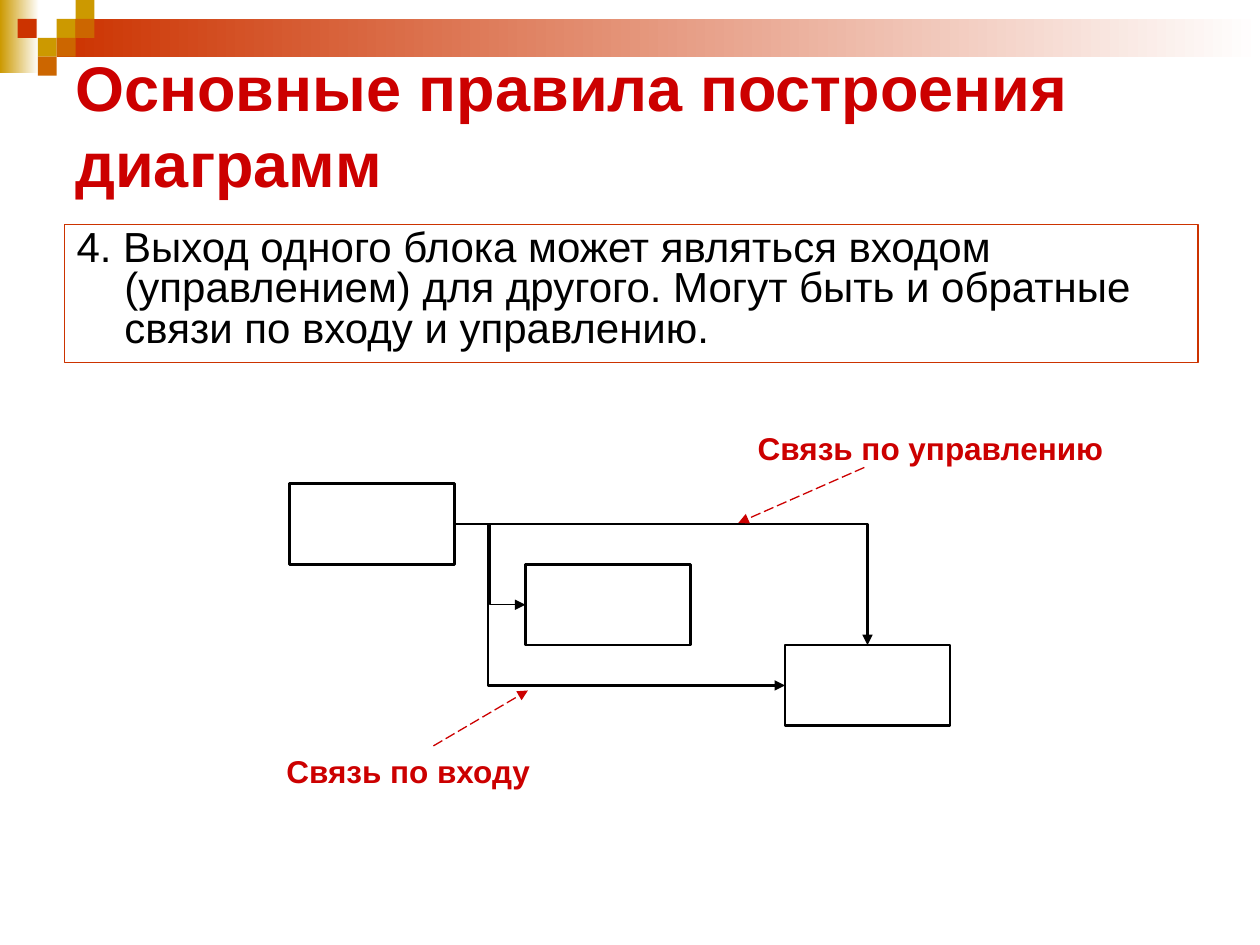
from typing import NamedTuple, Optional

import pptx
import pptx.dml.color
import pptx.enum.dml
import pptx.enum.shapes
import pptx.enum.text
import pptx.oxml.ns
import pptx.util
from lxml import etree
from pptx.dml.color import RGBColor
from pptx.util import Inches

WHITE = RGBColor(0xFF, 0xFF, 0xFF)
BLACK = RGBColor(0, 0, 0)
RED = RGBColor(0xCC, 0, 0)
RUST = RGBColor(0xCC, 0x33, 0)
GOLD = RGBColor(0xCC, 0x99, 0)
ORANGE = RGBColor(0xCC, 0x66, 0)
FONT = "Arial"
TILE = 0.15
BLOCK_WIDTH, BLOCK_HEIGHT = 1.31, 0.64
TOP, LEFT, RIGHT = 0, 1, 3
MIDDLE = pptx.enum.text.MSO_ANCHOR.MIDDLE
CENTER = pptx.enum.text.PP_ALIGN.CENTER
CONNECTOR = pptx.enum.shapes.MSO_CONNECTOR


class Box(NamedTuple):
    left: float
    top: float
    width: float
    height: float


class Tile(NamedTuple):
    left: float
    top: float
    color: RGBColor


class Link(NamedTuple):
    target: int
    side: int
    width: float
    bend: Optional[float]


class Callout(NamedTuple):
    text: str
    box: Box
    start: tuple[float, float]
    end: tuple[float, float]


TILES = [
    Tile(0.45, 0.15, GOLD),
    Tile(0.6, 0, GOLD),
    Tile(0.6, 0.15, ORANGE),
    Tile(0.3, 0.3, GOLD),
    Tile(0.14, 0.15, RUST),
    Tile(0.45, 0.3, ORANGE),
    Tile(0.3, 0.45, ORANGE),
]
BLOCK_LEFTS = [2.3, 4.17, 6.23]
FIRST_BLOCK_TOP = 3.84
LINKS = [
    Link(1, LEFT, 0.75, 0.5),
    Link(2, LEFT, 1.5, 0.1),
    Link(2, TOP, 1.5, None),
]
CALLOUTS = [
    Callout("Связь по входу", Box(2.17, 5.92, 2.14, 0.4), (3.44, 5.92), (4.19, 5.48)),
    Callout("Связь по управлению", Box(5.91, 3.36, 2.95, 0.4), (6.86, 3.71), (5.86, 4.15)),
]


def add_rectangle(slide, box: Box, fill: Optional[RGBColor] = None,
                  fade_to: Optional[RGBColor] = None,
                  line: Optional[RGBColor] = None, line_width: float = 0.75):
    rectangle = slide.shapes.add_shape(
        pptx.enum.shapes.MSO_SHAPE.RECTANGLE, *map(Inches, box))
    rectangle.shadow.inherit = False
    if fill is None:
        rectangle.fill.background()
    elif fade_to is None:
        rectangle.fill.solid()
        rectangle.fill.fore_color.rgb = fill
    else:
        rectangle.fill.gradient()
        rectangle.fill.gradient_angle = 0
        for stop, color in zip(rectangle.fill.gradient_stops, (fill, fade_to)):
            stop.color.rgb = color
    if line is None:
        rectangle.line.fill.background()
    else:
        rectangle.line.color.rgb = line
        rectangle.line.width = pptx.util.Pt(line_width)
    return rectangle


def write_text(shape, text: str, *, size: float, color: RGBColor, bold: bool = False,
               align=pptx.enum.text.PP_ALIGN.LEFT, anchor=pptx.enum.text.MSO_ANCHOR.TOP,
               wrap: bool = True, hanging: float = 0, line_spacing: float = 1.0,
               space_before: float = 0) -> None:
    frame = shape.text_frame
    frame.word_wrap = wrap
    frame.vertical_anchor = anchor
    paragraph = frame.paragraphs[0]
    paragraph.alignment = align
    paragraph.line_spacing = line_spacing
    paragraph.space_before = pptx.util.Pt(space_before)
    if hanging:
        properties = paragraph._p.get_or_add_pPr()
        properties.set("marL", str(Inches(hanging)))
        properties.set("indent", str(-Inches(hanging)))
    run = paragraph.add_run()
    run.text = text
    run.font.name = FONT
    run.font.size = pptx.util.Pt(size)
    run.font.bold = bold
    run.font.color.rgb = color


def style_arrow(arrow, color: RGBColor, width: float) -> None:
    """Colour the connector, drop its shadow and put a triangle at its end."""
    arrow.line.color.rgb = color
    arrow.line.width = pptx.util.Pt(width)
    head = etree.SubElement(arrow.line._get_or_add_ln(), pptx.oxml.ns.qn("a:tailEnd"))
    head.set("type", "triangle")
    etree.SubElement(arrow._element.spPr, pptx.oxml.ns.qn("a:effectLst"))


def add_link(slide, blocks: list, link: Link) -> None:
    """Join the first block's right side to the target; no bend means one corner."""
    arrow = slide.shapes.add_connector(CONNECTOR.ELBOW, 0, 0, 0, 0)
    arrow.begin_connect(blocks[0], RIGHT)
    arrow.end_connect(blocks[link.target], link.side)
    geometry = arrow._element.spPr.find(pptx.oxml.ns.qn("a:prstGeom"))
    if link.bend is None:
        geometry.set("prst", "bentConnector2")
    else:
        guides = geometry.find(pptx.oxml.ns.qn("a:avLst"))
        guide = etree.SubElement(guides, pptx.oxml.ns.qn("a:gd"))
        guide.set("name", "adj1")
        guide.set("fmla", f"val {round(link.bend * 100000)}")
    style_arrow(arrow, BLACK, link.width)


def add_callout(slide, callout: Callout) -> None:
    label = slide.shapes.add_textbox(*map(Inches, callout.box))
    write_text(label, callout.text, size=18, color=RED, bold=True, align=CENTER, wrap=False)
    pointer = slide.shapes.add_connector(
        CONNECTOR.STRAIGHT, *map(Inches, callout.start + callout.end))
    pointer.line.dash_style = pptx.enum.dml.MSO_LINE.LONG_DASH
    style_arrow(pointer, RED, 0.75)


def main() -> None:
    deck = pptx.Presentation()
    deck.slide_width, deck.slide_height = Inches(10), Inches(7.5)
    slide = deck.slides.add_slide(deck.slide_layouts[6])

    add_rectangle(slide, Box(0, 0, 0.31, 0.58), GOLD, fade_to=WHITE)
    add_rectangle(slide, Box(0.45, 0.15, 9.55, 0.3), RUST, fade_to=WHITE)
    for tile in TILES:
        add_rectangle(slide, Box(tile.left, tile.top, TILE, TILE), tile.color)

    title = slide.shapes.add_textbox(*map(Inches, Box(0.5, 0.5, 9, 0.97)))
    write_text(title, "Основные правила построения диаграмм",
               size=36, color=RED, bold=True, anchor=MIDDLE)
    rule = add_rectangle(slide, Box(0.51, 1.78, 9, 1.1), line=RUST)
    write_text(rule, "4. Выход одного блока может являться входом (управлением) для другого. "
               "Могут быть и обратные связи по входу и управлению.",
               size=24, color=BLACK, hanging=0.38, line_spacing=0.8, space_before=6)

    blocks = [
        add_rectangle(slide, Box(left, FIRST_BLOCK_TOP + step * BLOCK_HEIGHT,
                                 BLOCK_WIDTH, BLOCK_HEIGHT),
                      WHITE, line=BLACK, line_width=1.5)
        for step, left in enumerate(BLOCK_LEFTS)
    ]
    for link in LINKS:
        add_link(slide, blocks, link)
    for callout in CALLOUTS:
        add_callout(slide, callout)

    deck.save("out.pptx")


if __name__ == "__main__":
    main()
